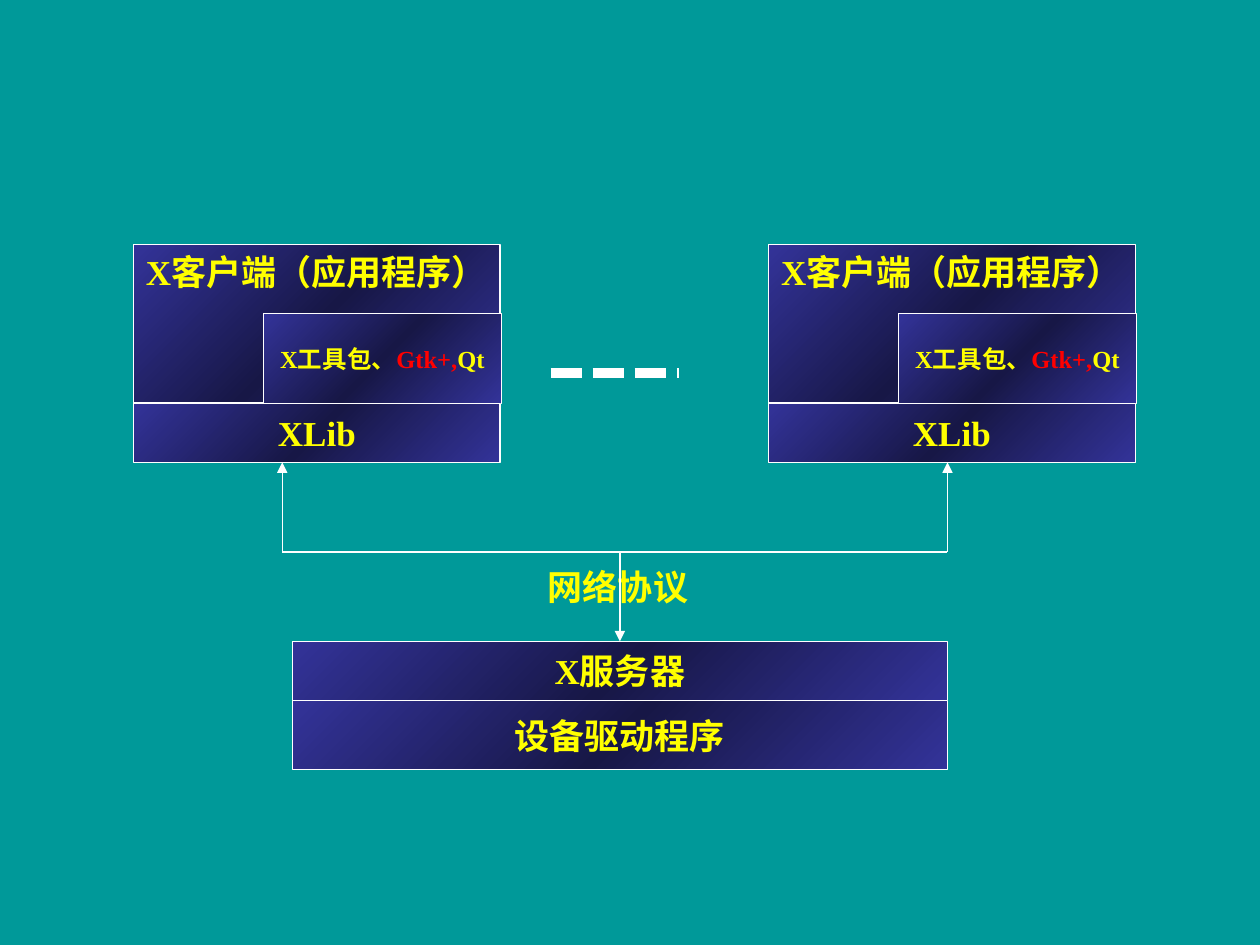
"""Build a slide showing X clients talking to an X server over the network protocol."""
from copy import deepcopy
from typing import NamedTuple

from lxml.etree import SubElement
from pptx import Presentation
from pptx.dml.color import RGBColor
from pptx.enum.dml import MSO_LINE
from pptx.enum.shapes import MSO_CONNECTOR, MSO_SHAPE
from pptx.enum.text import MSO_ANCHOR, PP_ALIGN
from pptx.oxml.ns import qn
from pptx.util import Inches, Pt

TEAL = RGBColor(0x00, 0x99, 0x99)
INDIGO = RGBColor(0x33, 0x33, 0x99)
NAVY = RGBColor(0x17, 0x17, 0x46)
WHITE = RGBColor(0xFF, 0xFF, 0xFF)
YELLOW = RGBColor(0xFF, 0xFF, 0x00)
RED = RGBColor(0xFF, 0x00, 0x00)

LABEL_FONT = {"name": "Times New Roman", "bold": True}
GRADIENT = ((0, INDIGO), (0.5, NAVY), (1, INDIGO))

CLIENT_LEFTS = (1.06, 6.1)
BUS_LEFT, BUS_RIGHT, BUS_Y = 2.24, 7.52, 4.38
XLIB_BOTTOM, SERVER_TOP, SERVER_X = 3.67, 5.09, 4.92


class Run(NamedTuple):
    text: str
    color: RGBColor = YELLOW


class Layer(NamedTuple):
    left: float
    top: float
    width: float
    height: float
    runs: tuple[Run, ...]
    size: int = 20
    align: PP_ALIGN = PP_ALIGN.CENTER
    anchor: MSO_ANCHOR = MSO_ANCHOR.MIDDLE


class Link(NamedTuple):
    start: tuple[float, float]
    end: tuple[float, float]
    arrow: bool = True
    weight: float = 0.75
    dash: MSO_LINE | None = None


CLIENT_LAYERS = (
    Layer(0, 1.94, 2.91, 1.26, (Run("X客户端（应用程序）"),),
          align=PP_ALIGN.LEFT, anchor=MSO_ANCHOR.TOP),
    Layer(1.03, 2.49, 1.89, 0.71,
          (Run("X工具包、"), Run("Gtk+,", RED), Run("Qt")), size=14),
    Layer(0, 3.2, 2.91, 0.47, (Run("XLib"),)),
)
SERVER_LAYERS = (
    Layer(2.32, SERVER_TOP, 5.2, 0.47, (Run("X服务器"),)),
    Layer(2.32, 5.56, 5.2, 0.55, (Run("设备驱动程序"),)),
)
PROTOCOL = Layer(4, 4.46, 1.81, 0.39, (Run("网络协议"),))
LINKS = (
    Link((4.37, 2.96), (5.39, 2.96), False, 6, MSO_LINE.SQUARE_DOT),
    Link((BUS_LEFT, BUS_Y), (BUS_RIGHT, BUS_Y), False),
    Link((BUS_LEFT, BUS_Y), (BUS_LEFT, XLIB_BOTTOM)),
    Link((BUS_RIGHT, BUS_Y), (BUS_RIGHT, XLIB_BOTTOM)),
    Link((SERVER_X, BUS_Y), (SERVER_X, SERVER_TOP)),
)


def write_label(frame, layer: Layer) -> None:
    frame.word_wrap = False
    frame.vertical_anchor = layer.anchor
    paragraph = frame.paragraphs[0]
    paragraph.alignment = layer.align
    for part in layer.runs:
        run = paragraph.add_run()
        run.text = part.text
        for key, value in {**LABEL_FONT, "size": Pt(layer.size)}.items():
            setattr(run.font, key, value)
        run.font.color.rgb = part.color


def bounds(layer: Layer, offset: float = 0) -> tuple[Inches, ...]:
    return tuple(map(Inches, (layer.left + offset, *layer[1:4])))


def add_layer(slide, layer: Layer, offset: float = 0) -> None:
    box = slide.shapes.add_shape(MSO_SHAPE.RECTANGLE, *bounds(layer, offset))
    box.shadow.inherit = False
    box.fill.gradient()
    stop_list = box._element.spPr.find(".//" + qn("a:gsLst"))
    stop_list.append(deepcopy(stop_list[0]))
    for stop, (position, color) in zip(box.fill.gradient_stops, GRADIENT):
        stop.position = position
        stop.color.rgb = color
    box.fill.gradient_angle = 135
    box.line.color.rgb = WHITE
    box.line.width = Pt(0.75)
    write_label(box.text_frame, layer)


def add_link(slide, link: Link) -> None:
    ends = map(Inches, (*link.start, *link.end))
    connector = slide.shapes.add_connector(MSO_CONNECTOR.STRAIGHT, *ends)
    connector.line.color.rgb = WHITE
    connector.line.width = Pt(link.weight)
    if link.dash:
        connector.line.dash_style = link.dash
    if link.arrow:
        SubElement(connector.line._get_or_add_ln(), qn("a:tailEnd"), type="triangle")
    SubElement(connector._element.spPr, qn("a:effectLst"))


def main() -> None:
    deck = Presentation()
    deck.slide_width, deck.slide_height = Inches(10), Inches(7.5)
    slide = deck.slides.add_slide(deck.slide_layouts[6])
    slide.background.fill.solid()
    slide.background.fill.fore_color.rgb = TEAL

    protocol = slide.shapes.add_textbox(*bounds(PROTOCOL))
    write_label(protocol.text_frame, PROTOCOL)
    for left in CLIENT_LEFTS:
        for layer in CLIENT_LAYERS:
            add_layer(slide, layer, left)
    for link in LINKS:
        add_link(slide, link)
    for layer in SERVER_LAYERS:
        add_layer(slide, layer)
    deck.save("out.pptx")


if __name__ == "__main__":
    main()
